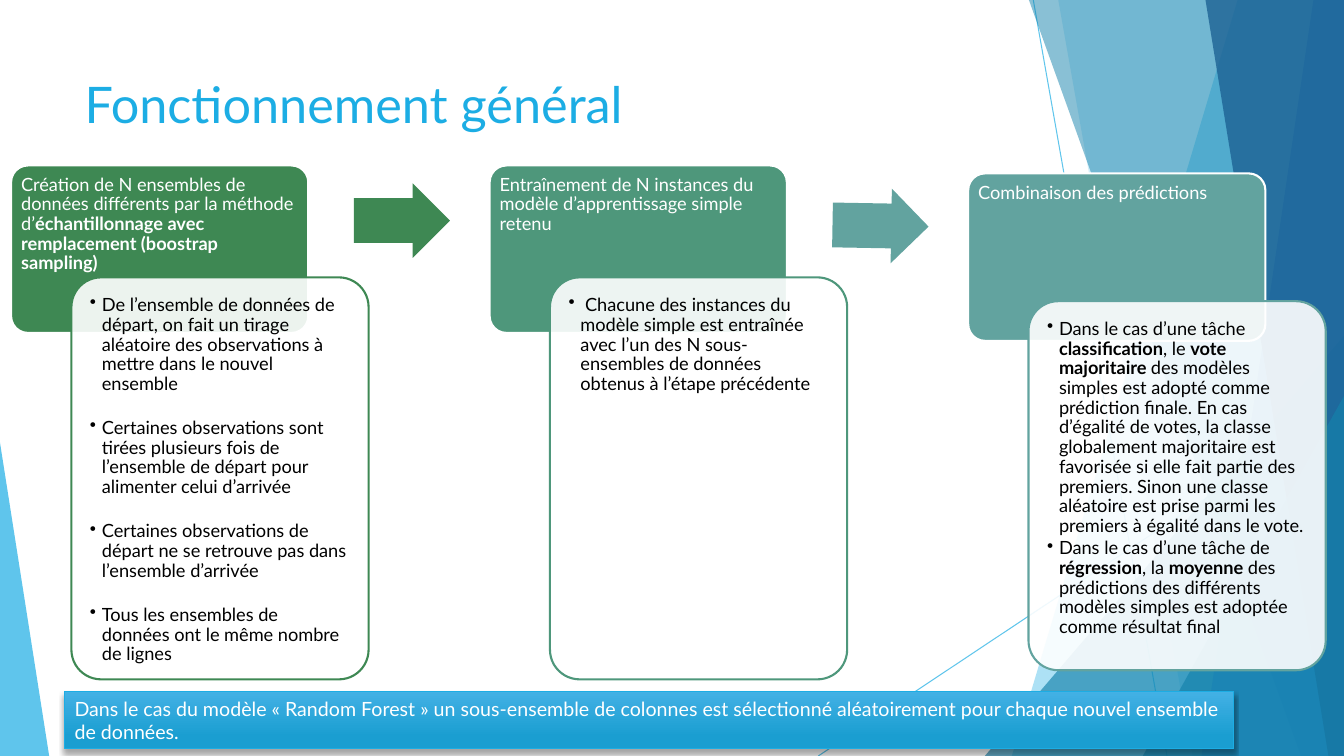
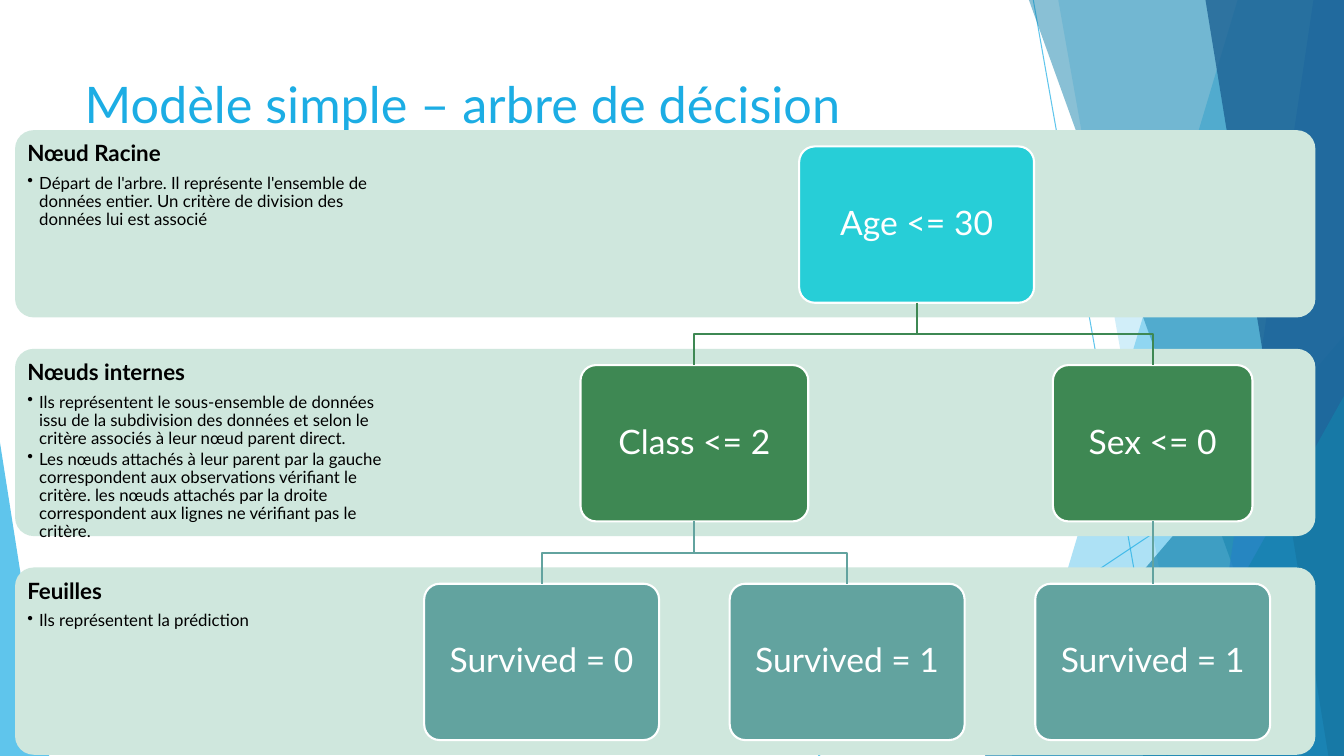
from dataclasses import dataclass

from lxml import etree
from pptx import Presentation
from pptx.dml.color import RGBColor
from pptx.enum.shapes import MSO_CONNECTOR, MSO_SHAPE
from pptx.enum.text import MSO_ANCHOR, MSO_AUTO_SIZE, PP_ALIGN
from pptx.oxml.ns import qn
from pptx.util import Cm, Pt

STRAIGHT = MSO_CONNECTOR.STRAIGHT
ROUNDED = MSO_SHAPE.ROUNDED_RECTANGLE
RECTANGLE = MSO_SHAPE.RECTANGLE
TRIANGLE = MSO_SHAPE.ISOSCELES_TRIANGLE
ARROW = MSO_SHAPE.RIGHT_ARROW
TOP, MIDDLE = MSO_ANCHOR.TOP, MSO_ANCHOR.MIDDLE
LEFT, CENTER = PP_ALIGN.LEFT, PP_ALIGN.CENTER
NO_AUTOFIT = MSO_AUTO_SIZE.NONE
BOTTOM_SITE, TOP_SITE = 2, 0


@dataclass(frozen=True)
class Theme:
    font: str = "Lato"
    white: str = "FFFFFF"
    black: str = "000000"
    sky: str = "1CADE4"
    ocean: str = "1482AC"
    blue: str = "2683C6"
    navy: str = "1D6294"
    note_top: str = "43B1E5"
    note_bottom: str = "1A9ED1"
    turquoise: str = "27CED7"
    green: str = "3E8853"
    jade: str = "4E977B"
    teal: str = "62A39F"
    band: str = "CFE7DD"
    title_size: float = 36
    node_size: float = 24
    band_title_size: float = 16
    note_size: float = 14
    step_size: float = 13
    band_text_size: float = 12
    outline: float = 1.5
    hairline: float = 0.75
    tight: float = 0.9


THEME = Theme()
SLIDE_W, SLIDE_H = 33.87, 19.05

# (colour, heading, heading top, detail top, detail height, gap in points, details)
STEPS = [
    (THEME.green,
     "Création de N ensembles de données différents par la méthode "
     "d’**échantillonnage avec remplacement (boostrap sampling)**",
     4.17, 6.99, 10.13, 17.5,
     ["De l’ensemble de données de départ, on fait un tirage aléatoire des "
      "observations à mettre dans le nouvel ensemble",
      "Certaines observations sont tirées plusieurs fois de l’ensemble de "
      "départ pour alimenter celui d’arrivée",
      "Certaines observations de départ ne se retrouve pas dans l’ensemble "
      "d’arrivée",
      "Tous les ensembles de données ont le même nombre de lignes"]),
    (THEME.jade,
     "Entraînement de N instances du modèle d’apprentissage simple retenu",
     4.17, 6.99, 10.13, 2,
     [" Chacune des instances du modèle simple est entraînée avec l’un des N "
      "sous-ensembles de données obtenus à l’étape précédente"]),
    (THEME.teal, "Combinaison des prédictions", 4.37, 7.59, 9.3, 2,
     ["Dans le cas d’une tâche **classification**, le **vote majoritaire **"
      "des modèles simples est adopté comme prédiction finale. En cas "
      "d’égalité de votes, la classe globalement majoritaire est favorisée si "
      "elle fait partie des premiers. Sinon une classe aléatoire est prise "
      "parmi les premiers à égalité dans le vote.",
      "Dans le cas d’une tâche de **régression**, la **moyenne** des "
      "prédictions des différents modèles simples est adoptée comme résultat "
      "final"]),
]
STEP_LEFT, STEP_PITCH, STEP_WIDTH = 0.28, 12.06, 7.49
# (colour, top, rotation)
STEP_ARROWS = [(THEME.green, 4.62, 0), (THEME.teal, 4.75, 1)]
NOTE = ("Dans le cas du modèle « Random Forest » un sous-ensemble de colonnes "
        "est sélectionné aléatoirement pour chaque nouvel ensemble de données.")

LEVELS = [
    ("Nœud Racine",
     ["Départ de l'arbre. Il représente l'ensemble de données entier. Un "
      "critère de division des données lui est associé"]),
    ("Nœuds internes",
     ["Ils représentent le sous-ensemble de données issu de la subdivision des "
      "données et selon le critère associés à leur nœud parent direct.",
      "Les nœuds attachés à leur parent par la gauche correspondent aux "
      "observations vérifiant le critère. les nœuds attachés par la droite "
      "correspondent aux lignes ne vérifiant pas le critère."]),
    ("Feuilles", ["Ils représentent la prédiction"]),
]
LEVEL_COLOURS = [THEME.turquoise, THEME.green, THEME.teal]
LEVEL_TOP, LEVEL_PITCH, LEVEL_HEIGHT = 3.28, 5.51, 4.72
NODE_OFFSET, NODE_HEIGHT = 0.41, 3.94
# (label, level, centre, width, index of the parent)
NODES = [
    ("Age <= 30", 0, 23.1, 5.92, None),
    ("Class <= 2", 1, 17.5, 5.74, 0),
    ("Sex <= 0", 1, 29.05, 5.03, 0),
    ("Survived = 0", 2, 13.65, 5.92, 1),
    ("Survived = 1", 2, 21.35, 5.92, 1),
    ("Survived = 1", 2, 29.05, 5.92, 2),
]


def rgb(colour):
    return RGBColor.from_string(colour)


def set_opacity(shape, percent):
    """Apply an opacity to every colour set so far on the shape."""
    for colour in shape.element.spPr.iter(qn("a:srgbClr")):
        etree.SubElement(colour, qn("a:alpha"), val=str(percent * 1000))


def paint(shape, fill=None, line=None, opacity=None, weight=THEME.outline):
    shape.shadow.inherit = False
    if fill:
        shape.fill.solid()
        shape.fill.fore_color.rgb = rgb(fill)
    else:
        shape.fill.background()
    if opacity:
        set_opacity(shape, opacity)
    if line:
        shape.line.color.rgb = rgb(line)
        shape.line.width = Pt(weight)
    else:
        shape.line.fill.background()


def add_preset(slide, preset, box, adjustments=(), **look):
    shape = slide.shapes.add_shape(preset, *map(Cm, box))
    for index, value in enumerate(adjustments):
        shape.adjustments[index] = value
    paint(shape, **look)
    return shape


def add_outline(slide, points, closed, **look):
    points = [(Cm(x), Cm(y)) for x, y in points]
    builder = slide.shapes.build_freeform(*points[0])
    builder.add_line_segments(points[1:], close=closed)
    paint(builder.convert_to_shape(), **look)


def add_straight(slide, start, end, colour, weight):
    line = slide.shapes.add_connector(STRAIGHT, *map(Cm, (*start, *end)))
    line.line.color.rgb = rgb(colour)
    line.line.width = Pt(weight)
    etree.SubElement(line.element.spPr, qn("a:effectLst"))
    return line


def setup_frame(shape, insets, anchor=TOP):
    """Set wrapping, anchor and the left, top, right and bottom insets."""
    frame = shape.text_frame
    frame.word_wrap = True
    frame.vertical_anchor = anchor
    (frame.margin_left, frame.margin_top,
     frame.margin_right, frame.margin_bottom) = map(Cm, insets)
    return frame


def write(frame, text, size, colour, align=LEFT, bold=None, bullet=False,
          gap=0, spacing=THEME.tight):
    """Fill the next paragraph; **marks** enclose bold words."""
    paragraph = frame.paragraphs[0]
    if paragraph.runs:
        paragraph = frame.add_paragraph()
    paragraph.alignment = align
    paragraph.line_spacing = spacing
    paragraph.space_after = Pt(gap)
    if bullet:
        properties = paragraph._p.get_or_add_pPr()
        properties.set("marL", str(Cm(0.3)))
        properties.set("indent", str(-Cm(0.3)))
        etree.SubElement(properties, qn("a:buChar"), char="•")
    font = paragraph.font
    font.name, font.size, font.bold = THEME.font, Pt(size), bold
    font.color.rgb = rgb(colour)
    for index, part in enumerate(text.split("**")):
        if part:
            run = paragraph.add_run()
            run.text = part
            if index % 2:
                run.font.bold = True


def add_backdrop(slide):
    for start, end in [((26.04, 0), (29.41, SLIDE_H)),
                       ((SLIDE_W, 10.24), (20.62, SLIDE_H))]:
        set_opacity(add_straight(slide, start, end, THEME.sky, THEME.hairline), 70)

    def facet(top_x, bottom_x, colour, opacity):
        corners = [(top_x, 0), (SLIDE_W, 0), (SLIDE_W, SLIDE_H), (bottom_x, SLIDE_H)]
        add_outline(slide, corners, True, fill=colour, opacity=opacity)

    def corner(left, top, width, apex, colour, opacity):
        add_preset(slide, TRIANGLE, (left, top, width, SLIDE_H - top), [apex],
                   fill=colour, opacity=opacity)

    facet(31.19, 25.5, THEME.sky, 36)
    facet(26.67, 30.05, THEME.sky, 20)
    corner(24.82, 8.46, 9.05, 1, THEME.ocean, 66)
    facet(25.93, 32.79, THEME.ocean, 50)
    facet(33.1, 30.28, THEME.blue, 70)
    facet(30.38, 33.48, THEME.navy, 80)
    corner(28.8, 9.98, 5.07, 1, THEME.ocean, 66)
    corner(0, 11.15, 1.24, 0, THEME.sky, 70)


def add_titled_slide(deck, text):
    slide = deck.slides.add_slide(deck.slide_layouts[5])
    title = slide.shapes.title
    title.left, title.top, title.width, title.height = map(Cm, (1.88, 1.7, 23.88, 5.36))
    frame = setup_frame(title, (0.25, 0.13, 0.25, 0.13))
    frame.auto_size = NO_AUTOFIT
    write(frame, text, THEME.title_size, THEME.sky, spacing=1)
    add_backdrop(slide)
    return slide


def add_step(slide, left, step):
    colour, heading, top, detail_top, detail_height, gap, details = step
    head = add_preset(slide, ROUNDED, (left, top, STEP_WIDTH, 4.22), [0.1],
                      fill=colour, line=THEME.white)
    write(setup_frame(head, (0.13, 0.13, 0.13, 0.13)), heading,
          THEME.step_size, THEME.white)
    card = add_preset(slide, ROUNDED,
                      (left + 1.52, detail_top, STEP_WIDTH, detail_height), [0.1],
                      fill=THEME.white, line=colour, opacity=90)
    frame = setup_frame(card, (0.25, 0.25, 0.25, 0.25))
    for detail in details:
        write(frame, detail, THEME.step_size, THEME.black, bullet=True, gap=gap)


def add_note(slide, text):
    note = add_preset(slide, RECTANGLE, (1.63, 17.42, 29.46, 1.45),
                      line=THEME.sky, weight=1)
    note.fill.gradient()
    note.fill.gradient_angle = 270
    stops = [(0, THEME.note_top), (0.78, THEME.note_bottom)]
    for stop, (position, colour) in zip(note.fill.gradient_stops, stops):
        stop.position = position
        stop.color.rgb = rgb(colour)
    effects = note.element.spPr.find(qn("a:effectLst"))
    shadow = etree.SubElement(effects, qn("a:outerShdw"), blurRad=str(Pt(3)),
                              dist=str(Pt(2)), dir="5400000", rotWithShape="0")
    shade = etree.SubElement(shadow, qn("a:srgbClr"), val=THEME.black)
    etree.SubElement(shade, qn("a:alpha"), val="35000")
    write(setup_frame(note, (0.25, 0.13, 0.25, 0.13), MIDDLE), text,
          THEME.note_size, THEME.white, spacing=1)


def add_level(slide, top, heading, details):
    band = add_preset(slide, ROUNDED, (0.38, top, 32.77, LEVEL_HEIGHT), [0.1],
                      fill=THEME.band)
    frame = setup_frame(band, (0.17, 0.17, 23.1, 0.17))
    write(frame, heading, THEME.band_title_size, THEME.black, bold=True, gap=6)
    for detail in details:
        write(frame, detail, THEME.band_text_size, THEME.black, bullet=True, gap=2)


def node_top(level):
    return LEVEL_TOP + level * LEVEL_PITCH + NODE_OFFSET


def add_node(slide, label, level, centre, width):
    node = add_preset(slide, ROUNDED,
                      (centre - width / 2, node_top(level), width, NODE_HEIGHT),
                      [0.1], fill=LEVEL_COLOURS[level], line=THEME.white)
    write(setup_frame(node, (0.25, 0.25, 0.25, 0.25), MIDDLE), label,
          THEME.node_size, THEME.white, align=CENTER)
    return node


def add_branch(slide, boxes, parent, child):
    """Link two nodes, with a bend halfway when they are not aligned."""
    _, level, end_x, _, _ = NODES[child]
    start_x = NODES[parent][2]
    start_y, end_y = node_top(level - 1) + NODE_HEIGHT, node_top(level)
    colour = LEVEL_COLOURS[level]
    if start_x == end_x:
        link = add_straight(slide, (start_x, start_y), (end_x, end_y),
                            colour, THEME.outline)
        link.begin_connect(boxes[parent], BOTTOM_SITE)
        link.end_connect(boxes[child], TOP_SITE)
    else:
        middle = (start_y + end_y) / 2
        bend = [(start_x, start_y), (start_x, middle), (end_x, middle), (end_x, end_y)]
        add_outline(slide, bend, False, line=colour)


def build_overview(deck):
    slide = add_titled_slide(deck, "Fonctionnement général")
    for index, step in enumerate(STEPS):
        add_step(slide, STEP_LEFT + index * STEP_PITCH, step)
    for index, (colour, top, rotation) in enumerate(STEP_ARROWS):
        left = STEP_LEFT + index * STEP_PITCH + 8.64
        arrow = add_preset(slide, ARROW, (left, top, 2.42, 1.88), [0.6, 0.5], fill=colour)
        arrow.rotation = rotation
    add_note(slide, NOTE)


def build_tree(deck):
    slide = add_titled_slide(deck, "Modèle simple – arbre de décision")
    for index, (heading, details) in enumerate(LEVELS):
        add_level(slide, LEVEL_TOP + index * LEVEL_PITCH, heading, details)
    boxes = [add_node(slide, *node[:4]) for node in NODES]
    for child, (*_, parent) in enumerate(NODES):
        if parent is not None:
            add_branch(slide, boxes, parent, child)


def main():
    deck = Presentation()
    deck.slide_width, deck.slide_height = Cm(SLIDE_W), Cm(SLIDE_H)
    build_overview(deck)
    build_tree(deck)
    deck.save("out.pptx")


if __name__ == "__main__":
    main()
